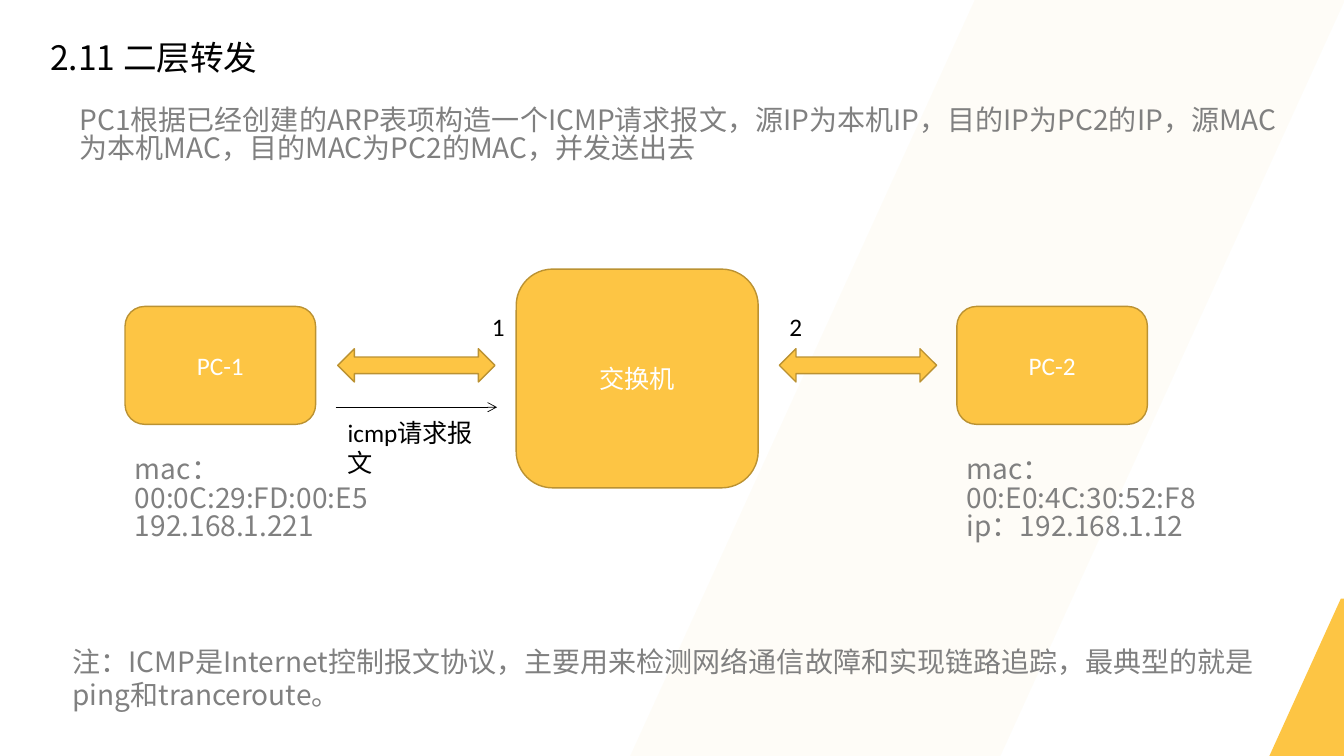
from lxml import etree
from pptx import Presentation
from pptx.dml.color import RGBColor
from pptx.enum.shapes import MSO_CONNECTOR, MSO_SHAPE
from pptx.enum.text import MSO_ANCHOR, MSO_AUTO_SIZE, PP_ALIGN
from pptx.oxml.ns import qn
from pptx.util import Pt

PX = 9144  # EMU per px, 100 px to the inch
COLORS = {"gold": "FDC544", "edge": "BB9232", "gray": "808080",
          "black": "000000", "white": "FFFFFF"}
CJK, LATIN = "Noto Sans CJK SC", "Calibri"
PARALLELOGRAM = MSO_SHAPE.PARALLELOGRAM
ROUNDED = MSO_SHAPE.ROUNDED_RECTANGLE
TWO_WAY = MSO_SHAPE.LEFT_RIGHT_ARROW
STRAIGHT = MSO_CONNECTOR.STRAIGHT
MIDDLE, CENTER = MSO_ANCHOR.MIDDLE, PP_ALIGN.CENTER
GROW = MSO_AUTO_SIZE.SHAPE_TO_FIT_TEXT

prs = Presentation()
prs.slide_width, prs.slide_height = 1333 * PX, 750 * PX
slide = prs.slides.add_slide(prs.slide_layouts[6])


def write(frame, lines, size, font, color, spacing=None, align=None):
    """Put one paragraph per line into a text frame."""
    frame.word_wrap = True
    for number, line in enumerate(lines):
        paragraph = frame.add_paragraph() if number else frame.paragraphs[0]
        paragraph.alignment = align
        if spacing:
            paragraph.line_spacing = Pt(spacing)
        run = paragraph.add_run()
        run.text = line
        run.font.size = Pt(size)
        run.font.name = font
        run.font.color.rgb = RGBColor.from_string(COLORS[color])
        east_asian = etree.SubElement(run.font._element, qn("a:ea"))
        east_asian.set("typeface", CJK)


def add_gold(preset, box, edged=True):
    """Add a gold preset shape at box (left, top, width, height)."""
    shape = slide.shapes.add_shape(preset, *[n * PX for n in box])
    shape.shadow.inherit = False
    shape.fill.solid()
    shape.fill.fore_color.rgb = RGBColor.from_string(COLORS["gold"])
    if edged:
        shape.line.color.rgb = RGBColor.from_string(COLORS["edge"])
        shape.line.width = Pt(1)
    else:
        shape.line.fill.background()
    return shape


# Slanted background band and corner
for box, opacity in [((625, 0, 709, 750), 4), ((1259, 594, 147, 156), 100)]:
    slant = add_gold(PARALLELOGRAM, box, edged=False)
    slant.adjustments[0] = 0.482
    if opacity < 100:
        gold = slant.fill._xPr.find(".//" + qn("a:srgbClr"))
        etree.SubElement(gold, qn("a:alpha")).set("val", str(opacity * 1000))

# Switch and the two computers
for name, box in [("交换机", (512, 267, 240, 217)),
                  ("PC-1", (124, 304, 189, 117)),
                  ("PC-2", (949, 304, 189, 117))]:
    device = add_gold(ROUNDED, box)
    device.text_frame.vertical_anchor = MIDDLE
    write(device.text_frame, [name], 18, LATIN, "white", align=CENTER)

for left in (335, 773):
    add_gold(TWO_WAY, (left, 346, 156, 33))

# Path of the request packet
request = slide.shapes.add_connector(
    STRAIGHT, 333 * PX, 404 * PX, 493 * PX, 404 * PX)
request.line.color.rgb = RGBColor.from_string(COLORS["black"])
request.line.width = Pt(0.5)
etree.SubElement(request.line._get_or_add_ln(), qn("a:tailEnd")).set("type", "arrow")
etree.SubElement(request._element.spPr, qn("a:effectLst"))

# Box, lines, size, font, colour, line spacing
texts = [
    ((40, 32, 728, 50), ["2.11 二层转发"], 24, CJK, "black", None),
    ((69, 102, 1210, 66),
     ["PC1根据已经创建的ARP表项构造一个ICMP请求报文，源IP为本机IP，目的IP为PC2的IP，"
      "源MAC为本机MAC，目的MAC为PC2的MAC，并发送出去"], 20, CJK, "gray", 20),
    ((124, 449, 368, 122), ["mac：", "00:0C:29:FD:00:E5", "192.168.1.221"],
     20, CJK, "gray", 20),
    ((949, 449, 257, 122), ["mac：", "00:E0:4C:30:52:F8", "ip：192.168.1.12"],
     20, CJK, "gray", 20),
    ((478, 304, 33, 40), ["1"], 18, LATIN, "black", None),
    ((773, 304, 47, 40), ["2"], 18, LATIN, "black", None),
    ((335, 409, 169, 40), ["icmp请求报文"], 18, LATIN, "black", None),
    ((62, 634, 1210, 77),
     ["注：ICMP是Internet控制报文协议，主要用来检测网络通信故障和实现链路追踪，"
      "最典型的就是ping和tranceroute。"], 20, CJK, "gray", None),
]
for box, lines, size, font, color, spacing in texts:
    frame = slide.shapes.add_textbox(*[n * PX for n in box]).text_frame
    frame.auto_size = GROW
    write(frame, lines, size, font, color, spacing)

prs.save("out.pptx")
